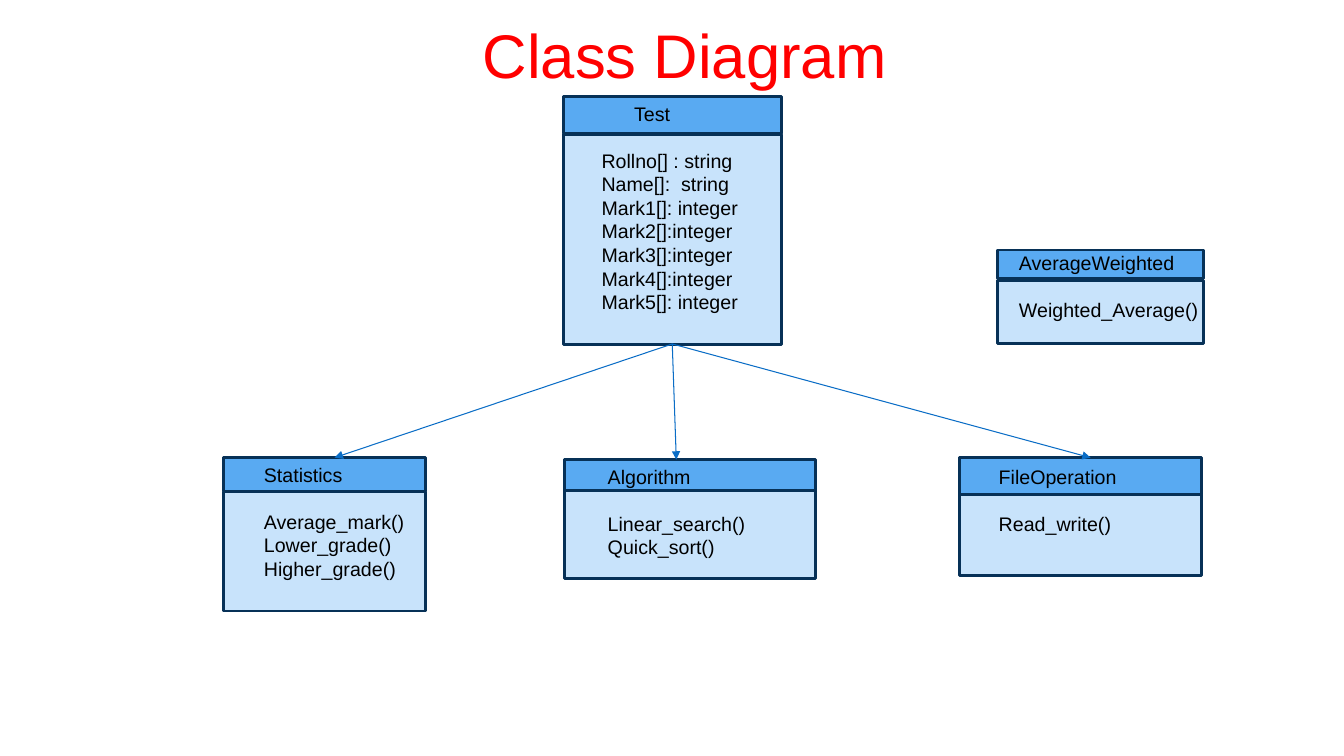
from lxml.etree import SubElement
from pptx import Presentation
from pptx.dml.color import RGBColor
from pptx.enum.shapes import MSO_CONNECTOR, MSO_SHAPE
from pptx.enum.text import MSO_ANCHOR, PP_ALIGN
from pptx.oxml.ns import qn
from pptx.util import Pt

COLORS = {
    "title": "FF0000", "text": "000000", "header": "59AAF2",
    "body": "C8E3FB", "border": "073157", "arrow": "0A6DC6",
}
FONT = "Arial"
LINE_HEIGHT = 16.8
TITLE = "Class Diagram"
TITLE_BOX = (336.2, 8.6, 306, 60.5)

# header and body: (top, height); text: (left, top, width, height)
CLASSES = [
    {"name": "Test", "left": 402.5, "width": 155.5, "name_indent": 23.3,
     "header": (69.1, 26.6), "body": (95.8, 150.2), "text": (422.6, 69.1, 135.4, 159.8),
     "members": ["Rollno[] : string", "Name[]:  string", "Mark1[]: integer",
                 "Mark2[]:integer", "Mark3[]:integer", "Mark4[]:integer",
                 "Mark5[]: integer"]},
    {"name": "Statistics", "left": 159.8, "width": 144, "name_indent": 0,
     "header": (326.9, 24.5), "body": (351.4, 85), "text": (181.4, 326.9, 118, 92.2),
     "members": ["Average_mark()", "Lower_grade()", "Higher_grade()"]},
    {"name": "Algorithm", "left": 403.2, "width": 179.6, "name_indent": 0,
     "header": (328.3, 22.3), "body": (350.2, 63.1), "text": (427, 328.3, 118, 74.9),
     "members": ["Linear_search()", "Quick_sort()"]},
    {"name": "FileOperation", "left": 685.4, "width": 172.6, "name_indent": 0,
     "header": (326.9, 26.2), "body": (353, 58.3), "text": (706.3, 328.3, 102, 58.3),
     "members": ["Read_write()"]},
    {"name": "AverageWeighted", "left": 712.3, "width": 147.6, "name_indent": 0,
     "header": (178.6, 20.2), "body": (200.2, 45.4), "text": (720.7, 175.7, 148, 58.3),
     "members": ["Weighted_Average()"]},
]
ARROW_START = (480.2, 245.7)
ARROW_ENDS = [(483.1, 328.3), (239, 326.9), (779, 326.9)]


def color(name):
    return RGBColor.from_string(COLORS[name])


def points(values):
    return [Pt(value) for value in values]


def style_font(paragraph, size, color_name):
    paragraph.font.name = FONT
    paragraph.font.size = Pt(size)
    paragraph.font.color.rgb = color(color_name)


def add_title(slide):
    title = slide.shapes.title
    title.left, title.top, title.width, title.height = points(TITLE_BOX)
    title.text_frame.text = TITLE
    title.text_frame.word_wrap = True
    title.text_frame.vertical_anchor = MSO_ANCHOR.TOP
    paragraph = title.text_frame.paragraphs[0]
    paragraph.alignment = PP_ALIGN.CENTER
    style_font(paragraph, 44, "title")


def add_class(slide, item):
    """Group a class's body, header and text."""
    group = slide.shapes.add_group_shape()
    for part in ("body", "header"):
        top, height = item[part]
        box = points((item["left"], top, item["width"], height))
        shape = group.shapes.add_shape(MSO_SHAPE.RECTANGLE, *box)
        shape.shadow.inherit = False
        shape.fill.solid()
        shape.fill.fore_color.rgb = color(part)
        shape.line.color.rgb = color("border")
        shape.line.width = Pt(2)

    frame = group.shapes.add_textbox(*points(item["text"])).text_frame
    frame.word_wrap = True
    frame.text = "\n".join([item["name"], *item["members"]])
    for paragraph in frame.paragraphs:
        style_font(paragraph, 14, "text")
    heading = frame.paragraphs[0]
    heading.space_after = Pt(LINE_HEIGHT)
    if item["name_indent"]:
        heading._p.get_or_add_pPr().set("marL", str(Pt(item["name_indent"])))


def add_arrow(slide, end):
    connector = slide.shapes.add_connector(
        MSO_CONNECTOR.STRAIGHT, *points(ARROW_START + end))
    connector.line.color.rgb = color("arrow")
    connector.line.width = Pt(0.75)
    SubElement(connector.line._get_or_add_ln(), qn("a:tailEnd"), type="triangle")
    SubElement(connector._element.spPr, qn("a:effectLst"))


def main():
    presentation = Presentation()
    presentation.slide_width, presentation.slide_height = Pt(960), Pt(540)
    slide = presentation.slides.add_slide(presentation.slide_layouts[5])
    add_title(slide)
    for item in CLASSES:
        add_class(slide, item)
    for end in ARROW_ENDS:
        add_arrow(slide, end)
    presentation.save("out.pptx")


if __name__ == "__main__":
    main()
